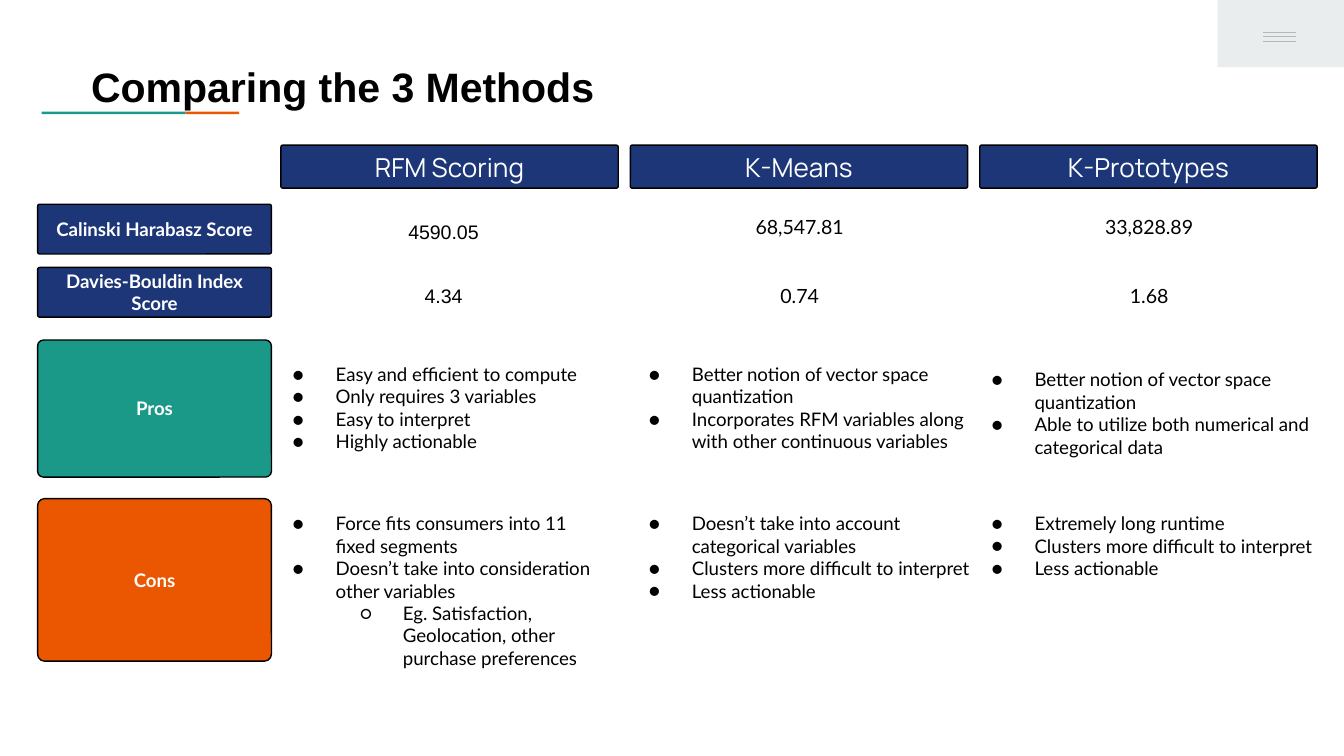
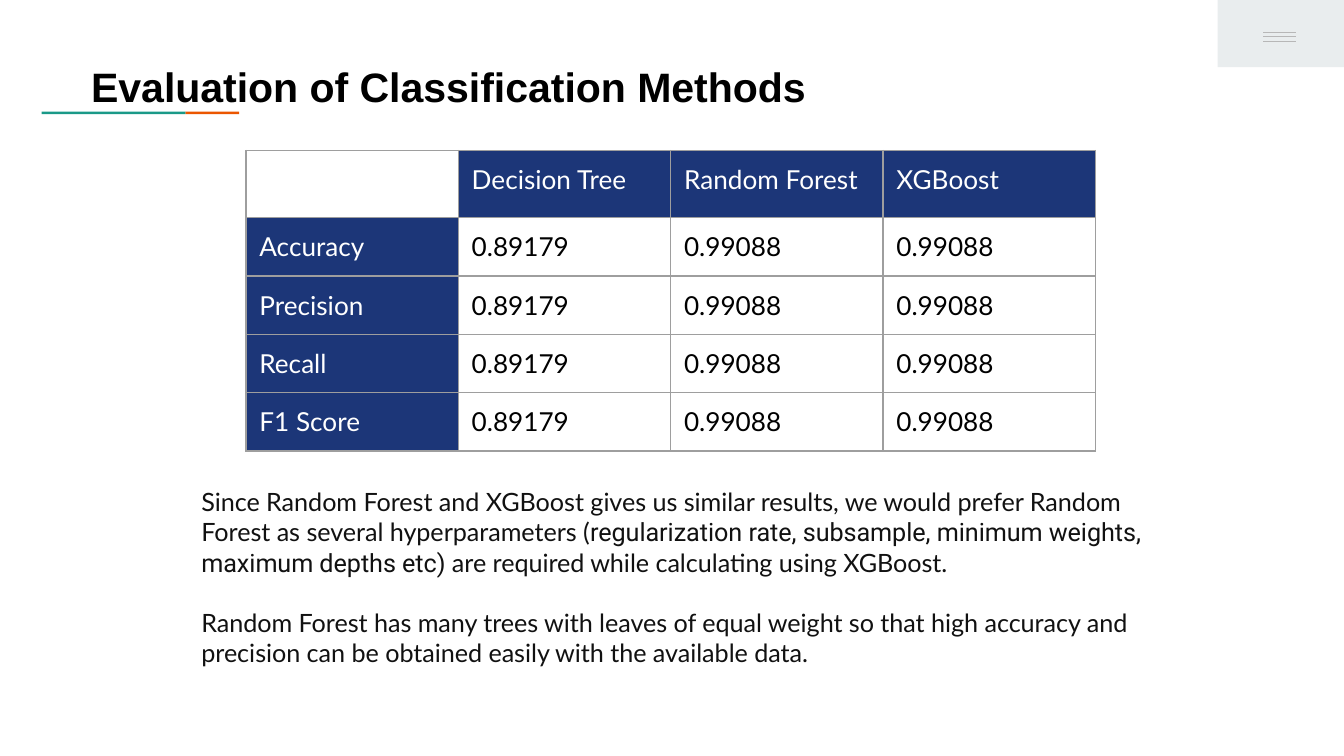
"""Builds two slides that compare clustering and classification methods."""
from dataclasses import dataclass

from lxml import etree
from pptx import Presentation
from pptx import util as u
from pptx.dml.color import RGBColor
from pptx.enum import shapes, text
from pptx.oxml.ns import qn


@dataclass(frozen=True)
class Theme:
    navy: str = "1C3678"
    teal: str = "1A9988"
    orange: str = "EB5600"
    white: str = "FFFFFF"
    black: str = "000000"
    ink: str = "111111"
    panel: str = "E9EDEE"
    rule: str = "B7B7B7"
    grid: str = "9E9E9E"
    sans: str = "Lato"
    head: str = "Manrope"
    plain: str = "Arial"
    alt: str = "Roboto"
    title: float = 22
    big: float = 14
    body: float = 13.5
    score: float = 10.5
    small: float = 10


T = Theme()
RGB = RGBColor.from_string
MID = text.PP_ALIGN.CENTER


def write(frame, words, size, font=T.sans, color=T.black, bold=False, align=None, gap=None):
    """Fill a text frame and format every run in it."""
    frame.text = words
    frame.word_wrap = True
    frame.margin_left = frame.margin_right = u.Inches(0.1)
    frame.margin_top = frame.margin_bottom = u.Inches(0.1)
    for para in frame.paragraphs:
        para.alignment = align
        para.line_spacing = gap
        for run in para.runs:
            run.font.size = u.Pt(size)
            run.font.name = font
            run.font.bold = bold
            run.font.color.rgb = RGB(color)
    return frame


def block(slide, kind, area, fill, edge=None):
    """Add a filled shape without a shadow."""
    shape = slide.shapes.add_shape(kind, *map(u.Inches, area))
    shape.shadow.inherit = False
    shape.fill.solid()
    shape.fill.fore_color.rgb = RGB(fill)
    if edge:
        shape.line.color.rgb = RGB(edge)
        shape.line.width = u.Pt(0.75)
    else:
        shape.line.fill.background()
    return shape


deck = Presentation()
deck.slide_width = u.Inches(10)
deck.slide_height = u.Inches(10 * 9 / 16)
RECT = shapes.MSO_SHAPE.RECTANGLE
ROUND = shapes.MSO_SHAPE.ROUNDED_RECTANGLE
GROW = text.MSO_AUTO_SIZE.SHAPE_TO_FIT_TEXT

pages = []
for title in ("Comparing the 3 Methods", "Evaluation of Classification Methods"):
    page = deck.slides.add_slide(deck.slide_layouts[6])
    pages.append(page)
    block(page, RECT, (1.38, 0.83, 0.4, 0.02), T.orange)
    block(page, RECT, (0.31, 0.83, 1.07, 0.02), T.teal)
    block(page, RECT, (9.06, 0, 0.94, 0.5), T.panel)
    for y in (0.24, 0.27, 0.31):
        line = page.shapes.add_connector(
            shapes.MSO_CONNECTOR.STRAIGHT, *map(u.Inches, (9.4, y, 9.64, y)))
        line.line.color.rgb = RGB(T.rule)
        line.line.width = u.Pt(0.75)
        etree.SubElement(line._element.spPr, qn("a:effectLst"))
    box = page.shapes.add_textbox(*map(u.Inches, (0.58, 0.3, 8.84, 0.57)))
    frame = write(box.text_frame, title, T.title, T.plain, bold=True, gap=1.15)
    frame.paragraphs[0].space_after = u.Pt(6)

first, second = pages

labels = [((2.09 + 2.6 * i, 1.08, 2.51, 0.32), name, T.navy, T.big, T.head, False)
          for i, name in enumerate(("RFM Scoring", "K-Means", "K-Prototypes"))]
labels += [((0.28, y, 1.74, high), name, fill, T.small, T.sans, True)
           for y, high, name, fill in (
               (1.52, 0.37, "Calinski Harabasz Score", T.navy),
               (1.99, 0.37, "Davies-Bouldin Index Score", T.navy),
               (2.53, 1.02, "Pros", T.teal),
               (3.71, 1.21, "Cons", T.orange))]
for area, name, fill, size, font, bold in labels:
    shape = block(first, ROUND, area, fill, T.black)
    shape.adjustments[0] = 0.043
    frame = write(shape.text_frame, name, size, font, T.white, bold, MID)
    frame.vertical_anchor = text.MSO_ANCHOR.MIDDLE

scores = (
    (3.3, T.plain, 1.15, "4590.05", "4.34"),
    (5.95, T.sans, None, "68,547.81", "0.74"),
    (8.55, T.sans, None, "33,828.89", "1.68"),
)
for mid, font, gap, high, low in scores:
    for y, wide, value, space in ((1.51, 0.91, high, gap), (1.99, 0.72, low, 1.15)):
        box = first.shapes.add_textbox(*map(u.Inches, (mid - wide / 2, y, wide, 0.38)))
        write(box.text_frame, value, T.score, font, align=MID, gap=space)
        box.text_frame.auto_size = GROW

lists = (
    ((1.9, 2.6, 2.8, 0.88), (
        "Easy and efficient to compute", "Only requires 3 variables",
        "Easy to interpret", "Highly actionable")),
    ((1.9, 3.71, 2.7, 1.38), (
        "Force fits consumers into 11 fixed segments",
        "Doesn’t take into consideration other variables",
        "Eg. Satisfaction, Geolocation, other purchase preferences")),
    ((4.55, 2.6, 2.8, 0.88), (
        "Better notion of vector space quantization",
        "Incorporates RFM variables along with other continuous variables")),
    ((7.1, 2.64, 2.8, 0.88), (
        "Better notion of vector space quantization",
        "Able to utilize both numerical and categorical data")),
    ((4.55, 3.71, 2.8, 0.88), (
        "Doesn’t take into account categorical variables",
        "Clusters more difficult to interpret", "Less actionable")),
    ((7.1, 3.71, 2.8, 0.71), (
        "Extremely long runtime",
        "Clusters more difficult to interpret", "Less actionable")),
)
for area, items in lists:
    box = first.shapes.add_textbox(*map(u.Inches, area))
    frame = write(box.text_frame, "\n".join(items), T.small)
    frame.auto_size = GROW
    for para in frame.paragraphs:
        para.level = int(para.text.startswith("Eg."))
        props = para._p.get_or_add_pPr()
        props.set("marL", str(u.Inches(0.5 + 0.5 * para.level)))
        props.set("indent", str(u.Inches(-0.32)))
        tint = etree.SubElement(props, qn("a:buClr"))
        etree.SubElement(tint, qn("a:srgbClr"), val=T.black)
        etree.SubElement(props, qn("a:buFont"), typeface=T.sans)
        etree.SubElement(props, qn("a:buChar"), char="●○"[para.level])

rows = [("", "Decision Tree", "Random Forest", "XGBoost")]
rows += [(name, "0.89179", "0.99088", "0.99088")
         for name in ("Accuracy", "Precision", "Recall", "F1 Score")]
table = second.shapes.add_table(
    5, 4, *map(u.Inches, (1.83, 1.12, 6.32, 2.1))).table
table.first_row = table.horz_banding = False
for col in table.columns:
    col.width = u.Inches(1.58)
for r, row in enumerate(rows):
    table.rows[r].height = u.Inches(0.42)
    for c, value in enumerate(row):
        cell = table.cell(r, c)
        key = (r == 0) != (c == 0)
        write(cell.text_frame, value, T.big, color=T.white if key else T.black)
        cell.margin_left = cell.margin_right = u.Inches(0.1)
        cell.margin_top = cell.margin_bottom = u.Inches(0.1)
        props = cell._tc.get_or_add_tcPr()
        for side in ("lnL", "lnR", "lnT", "lnB"):
            edge = etree.SubElement(props, qn("a:" + side), w=str(u.Pt(0.75)))
            paint = etree.SubElement(edge, qn("a:solidFill"))
            etree.SubElement(paint, qn("a:srgbClr"), val=T.grid)
        if key:
            cell.fill.solid()
            cell.fill.fore_color.rgb = RGB(T.navy)
        else:
            cell.fill.background()

notes = (
    (("Since Random Forest and XGBoost gives us similar results, we would prefer "
      "Random Forest as several hyperparameters (", T.sans),
     ("regularization rate, subsample, minimum weights, maximum depths etc) ", T.alt),
     ("are required while calculating using XGBoost.", T.sans)),
    (("Random Forest has many trees with leaves of equal weight so that high accuracy "
      "and precision can be obtained easily with the available data.", T.sans),),
)
box = second.shapes.add_textbox(*map(u.Inches, (1.4, 3.52, 7.52, 1.57)))
frame = write(box.text_frame, "\n".join(part[0][0] for part in notes), T.body, color=T.ink)
frame.auto_size = GROW
for para, parts in zip(frame.paragraphs, notes):
    for words, font in parts[1:]:
        run = para.add_run()
        run.text = words
        run.font.size = u.Pt(T.body)
        run.font.name = font
        run.font.color.rgb = RGB(T.ink)
frame.paragraphs[1].space_before = u.Pt(16)

deck.save("out.pptx")
